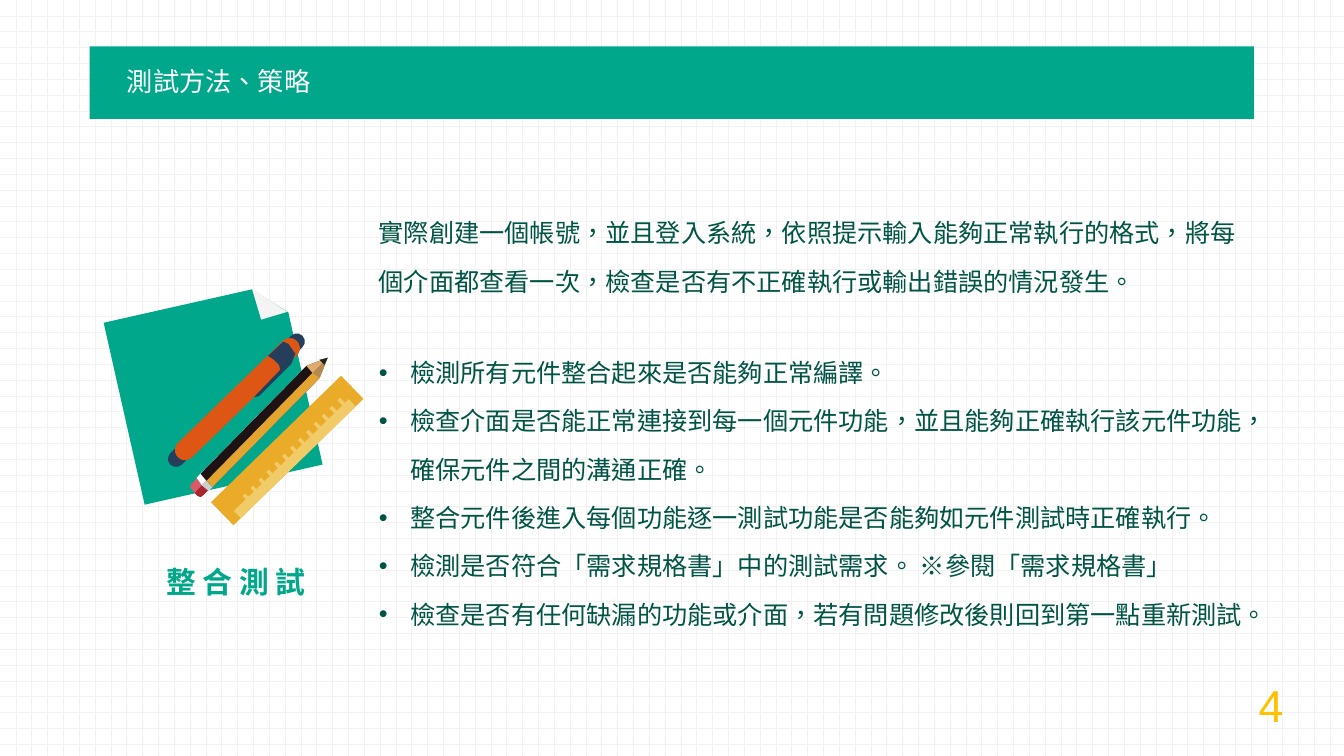
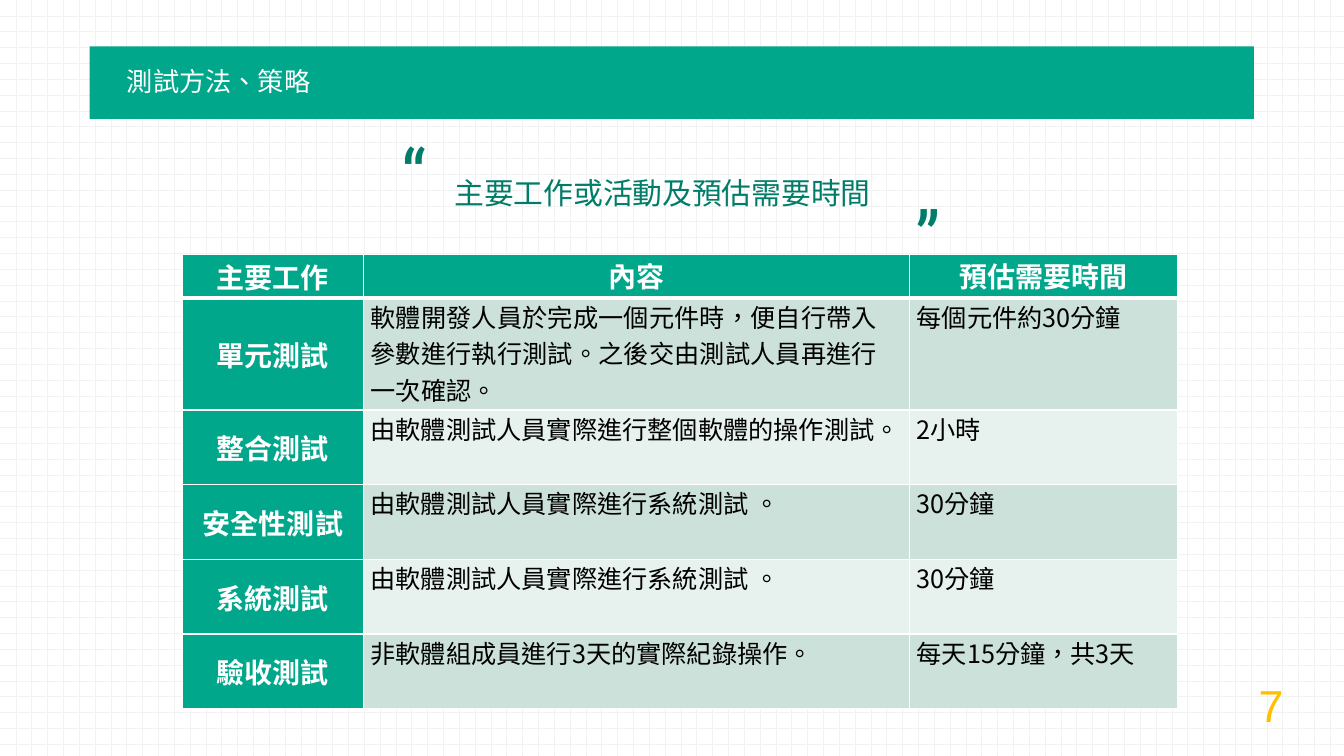
from lxml import etree
from pptx import Presentation
from pptx.dml.color import RGBColor
from pptx.enum.dml import MSO_PATTERN
from pptx.enum.lang import MSO_LANGUAGE_ID
from pptx.enum.shapes import MSO_SHAPE
from pptx.enum.text import MSO_ANCHOR, PP_ALIGN
from pptx.oxml.ns import qn
from pptx.util import Pt

GRID = MSO_PATTERN.DOTTED_GRID
CHINESE = MSO_LANGUAGE_ID.TRADITIONAL_CHINESE
RECT, ROUND = MSO_SHAPE.RECTANGLE, MSO_SHAPE.ROUNDED_RECTANGLE
SNIP, TRIANGLE = MSO_SHAPE.SNIP_1_RECTANGLE, MSO_SHAPE.RIGHT_TRIANGLE
MIDDLE, TOP = MSO_ANCHOR.MIDDLE, MSO_ANCHOR.TOP
CENTER, LEFT = PP_ALIGN.CENTER, PP_ALIGN.LEFT

CJK, LATIN, QUOTE_FONT = "Noto Sans CJK SC", "Arial", "Roboto Condensed"
GREEN, DEEP, DARK = "00A78B", "007D68", "005446"
WHITE, BLACK, AMBER, GRID_GREY = "FFFFFF", "000000", "FFC000", "F2F2F2"
NAVY, ORANGE, RULER, SCALE = "243E5B", "DE5614", "EAAB28", "F1CB68"
STRIPES = ("CCE1DA", "E7F1EE")

SECTION = "測試方法、策略"
METHOD = "整 合 測 試"
INTRO = "實際創建一個帳號，並且登入系統，依照提示輸入能夠正常執行的格式，將每個介面都查看一次，檢查是否有不正確執行或輸出錯誤的情況發生。"
STEPS = [
    "檢測所有元件整合起來是否能夠正常編譯。",
    "檢查介面是否能正常連接到每一個元件功能，並且能夠正確執行該元件功能，確保元件之間的溝通正確。",
    "整合元件後進入每個功能逐一測試功能是否能夠如元件測試時正確執行。",
    "檢測是否符合「需求規格書」中的測試需求。 ※參閱「需求規格書」",
    "檢查是否有任何缺漏的功能或介面，若有問題修改後則回到第一點重新測試。",
]
SCHEDULE_TITLE = "主要工作或活動及預估需要時間"
QUOTES = [("“", 279.4, 88.6), ("”", 646.6, 132.5)]
SCHEDULE = [
    ("主要工作", "內容", "預估需要時間"),
    ("單元測試", "軟體開發人員於完成一個元件時，便自行帶入參數進行執行測試。之後交由測試人員再進行一次確認。", "每個元件約30分鐘"),
    ("整合測試", "由軟體測試人員實際進行整個軟體的操作測試。", "2小時"),
    ("安全性測試", "由軟體測試人員實際進行系統測試 。", "30分鐘"),
    ("系統測試", "由軟體測試人員實際進行系統測試 。", "30分鐘"),
    ("驗收測試", "非軟體組成員進行3天的實際紀錄操作。", "每天15分鐘，共3天"),
]
COLUMN_WIDTHS = (129.4, 390.2, 191.5)
ROW_HEIGHTS = (31, 80) + (53.4,) * 4

TILT = 315.8
PAPER = [
    (SNIP, (87.1, 214.6, 130.3, 133.2), "00A78B", 347.3),
    (TRIANGLE, (182.9, 203, 19.4, 23), "F4F4F4", 343.3),
]
PEN = [
    (ROUND, (103, 280.1, 131.8, 11.5), NAVY, TILT),
    (ROUND, (110.2, 277.9, 118.8, 14.4), ORANGE, TILT),
]
CLIP = [(211, 252.7), (208.1, 259.9), (185, 283), (181.4, 283.7), (200.2, 264.2), (199.4, 260.6),
        (195.8, 257), (191.5, 254.2), (202.3, 244.1), (205.9, 245.5), (209.5, 250.6)]
TICK_COUNT, TICK_WIDTH, TICK_LENGTH = 13, 2.6, 10.3
TICK_START, TICK_STEP = (177.8, 357.1), (5.64, -5.7)
RULER_PARTS = [
    (RECT, (140.4, 310.3, 129.6, 23), RULER, TILT),
    (RECT, (153.4, 324, 114.5, 7.2), SCALE, TILT),
] + [
    (RECT, (TICK_START[0] + i * TICK_STEP[0] - TICK_WIDTH / 2,
            TICK_START[1] + i * TICK_STEP[1] - TICK_LENGTH / 2,
            TICK_WIDTH, TICK_LENGTH), SCALE, TILT)
    for i in range(TICK_COUNT)
]
TIP, SHOULDER, RIDGE, EDGE = (234, 255.6), (218.9, 261.4), (223.2, 266.4), (228.2, 270)
WHOLE, SHADED = [EDGE, TIP, SHOULDER], [EDGE, TIP, RIDGE]
ERASER_END = [(141.1, 354.2), (143.3, 355), (145.4, 353.5)]
FERRULE_END = [(144, 346.3), (149, 350.6)]
BARREL_END = [(147.6, 343.4), (151.9, 347.8)]
PENCIL = [
    ("D85A67", WHOLE + [(137.5, 344.9), (136.1, 346.3), (136.1, 348.5)] + ERASER_END),
    ("A9272D", SHADED + [(139, 352.1)] + ERASER_END),
    ("FFFFFF", WHOLE + [(140.4, 341.3)] + FERRULE_END),
    ("CECECE", SHADED + FERRULE_END),
    ("1E1314", WHOLE + [(143.3, 338.4)] + BARREL_END),
    ("E4A530", SHADED + BARREL_END),
    ("DFAE6F", WHOLE + [RIDGE]),
    ("B68951", SHADED),
    ("232323", [(231.8, 260.6), TIP, (228.2, 257), (230.4, 259.2)]),
]


def rgb(value):
    return RGBColor.from_string(value)


def paint(shape, color):
    shape.shadow.inherit = False
    shape.fill.solid()
    shape.fill.fore_color.rgb = rgb(color)
    shape.line.fill.background()


def add_block(shapes, kind, box, color, rotation=0):
    block = shapes.add_shape(kind, *map(Pt, box))
    paint(block, color)
    block.rotation = rotation
    if kind == ROUND:
        block.adjustments[0] = 0.5


def add_outline(shapes, points, color):
    corners = [(Pt(x), Pt(y)) for x, y in points]
    builder = shapes.build_freeform(*corners[0], scale=1.0)
    builder.add_line_segments(corners[1:], close=True)
    paint(builder.convert_to_shape(), color)


def write(paragraph, text, size, color, font=CJK, bold=False, align=LEFT, spacing=None, tracking=None):
    paragraph.alignment = align
    if spacing:
        paragraph.line_spacing = spacing
    run = paragraph.add_run()
    run.text = text
    run.font.size = Pt(size)
    run.font.bold = bold
    run.font.color.rgb = rgb(color)
    run.font.name = font
    run.font.language_id = CHINESE
    properties = run._r.get_or_add_rPr()
    etree.SubElement(properties, qn("a:ea"), typeface=font)
    if tracking:
        properties.set("spc", str(tracking))


def add_label(slide, box, text, size, color, **style):
    frame = slide.shapes.add_textbox(*map(Pt, box)).text_frame
    frame.word_wrap = True
    write(frame.paragraphs[0], text, size, color, **style)
    return frame


def add_bullet(paragraph, indent):
    properties = paragraph._p.get_or_add_pPr()
    properties.set("marL", str(Pt(indent)))
    properties.set("indent", str(-Pt(indent)))
    etree.SubElement(properties, qn("a:buFont"), typeface=LATIN)
    etree.SubElement(properties, qn("a:buChar"), char="•")


def add_borders(cell, **widths):
    properties = cell._tc.get_or_add_tcPr()
    for side in "LRTB":
        border = etree.SubElement(properties, qn("a:ln" + side), w=str(Pt(widths.get(side, 1))))
        fill = etree.SubElement(border, qn("a:solidFill"))
        etree.SubElement(fill, qn("a:srgbClr"), val=WHITE)


def new_slide(deck, number):
    slide = deck.slides.add_slide(deck.slide_layouts[6])
    add_block(slide.shapes, RECT, (64.1, 33.1, 831.6, 51.8), GREEN)
    add_label(slide, (83.5, 43.2, 150.5, 30.2), SECTION, 18.7, WHITE)
    add_label(slide, (892, 480.2, 67.7, 46), number, 32, AMBER, font=LATIN)
    return slide


def draw_stationery(slide):
    shapes = slide.shapes.add_group_shape().shapes
    for part in PAPER + PEN:
        add_block(shapes, *part)
    add_outline(shapes, CLIP, NAVY)
    for part in RULER_PARTS:
        add_block(shapes, *part)
    for color, points in PENCIL:
        add_outline(shapes, points, color)


def build_method(deck):
    slide = new_slide(deck, "4")
    add_label(slide, (111.6, 391.7, 120.2, 37.4), METHOD, 21.3, GREEN, bold=True, spacing=1.3)
    body = add_label(slide, (263.5, 139, 643, 317.5), INTRO, 18, DARK, spacing=1.6)
    for index, step in enumerate(STEPS):
        paragraph = body.add_paragraph()
        write(paragraph, step, 18, DARK, spacing=1.6)
        if index == 0:
            paragraph.space_before = Pt(30.5)
        add_bullet(paragraph, 22.5)
    draw_stationery(slide)


def build_schedule(deck):
    slide = new_slide(deck, "7")
    add_label(slide, (317.5, 113.8, 356.4, 37.4), SCHEDULE_TITLE, 21.3, DEEP, spacing=1.3)
    for mark, left, top in QUOTES:
        add_label(slide, (left, top, 36, 72), mark, 53.3, DEEP, font=QUOTE_FONT)
    table = slide.shapes.add_table(
        len(SCHEDULE), len(COLUMN_WIDTHS), Pt(130.3), Pt(181.8),
        Pt(sum(COLUMN_WIDTHS)), Pt(sum(ROW_HEIGHTS))).table
    for column, width in zip(table.columns, COLUMN_WIDTHS):
        column.width = Pt(width)
    for r, (height, texts) in enumerate(zip(ROW_HEIGHTS, SCHEDULE)):
        table.rows[r].height = Pt(height)
        for c, text in enumerate(texts):
            cell = table.cell(r, c)
            heading = r == 0 or c == 0
            cell.margin_left = cell.margin_right = Pt(5)
            cell.margin_top = cell.margin_bottom = 0
            cell.vertical_anchor = MIDDLE if c == 0 else TOP
            add_borders(cell, T=3 if r == 1 else 1, B=3 if r == 0 else 1)
            cell.fill.solid()
            cell.fill.fore_color.rgb = rgb(GREEN if heading else STRIPES[(r - 1) % 2])
            paragraph = cell.text_frame.paragraphs[0]
            if heading:
                write(paragraph, text, 20, WHITE, bold=True, align=CENTER)
            else:
                write(paragraph, text, 18, BLACK, tracking=10 if (r, c) == (1, 1) else None)


def main():
    deck = Presentation()
    deck.slide_width, deck.slide_height = Pt(960), Pt(540)
    backdrop = deck.slide_master.background.fill
    backdrop.patterned()
    backdrop.pattern = GRID
    backdrop.fore_color.rgb = rgb(GRID_GREY)
    backdrop.back_color.rgb = rgb(WHITE)
    build_method(deck)
    build_schedule(deck)
    deck.save("out.pptx")


if __name__ == "__main__":
    main()
